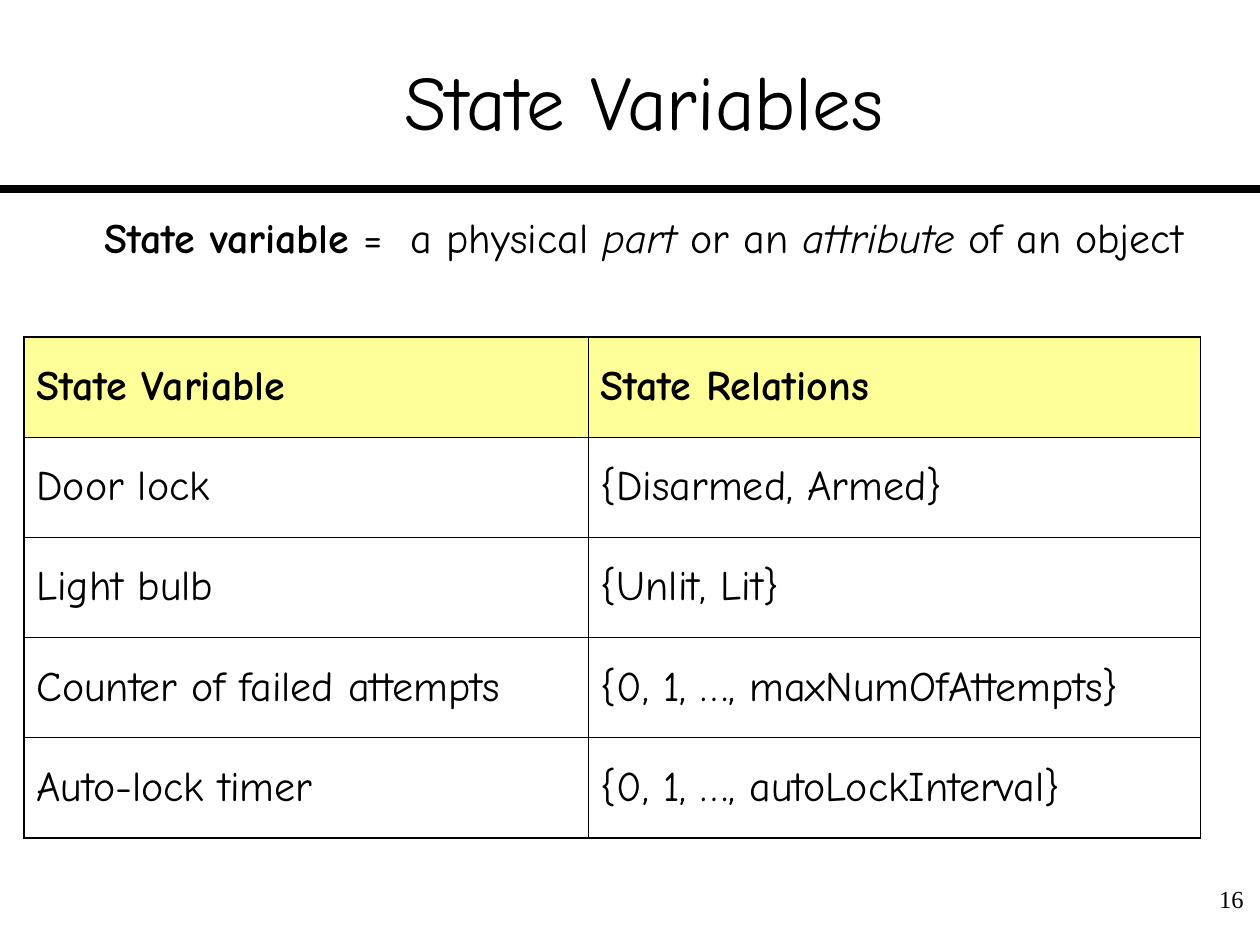
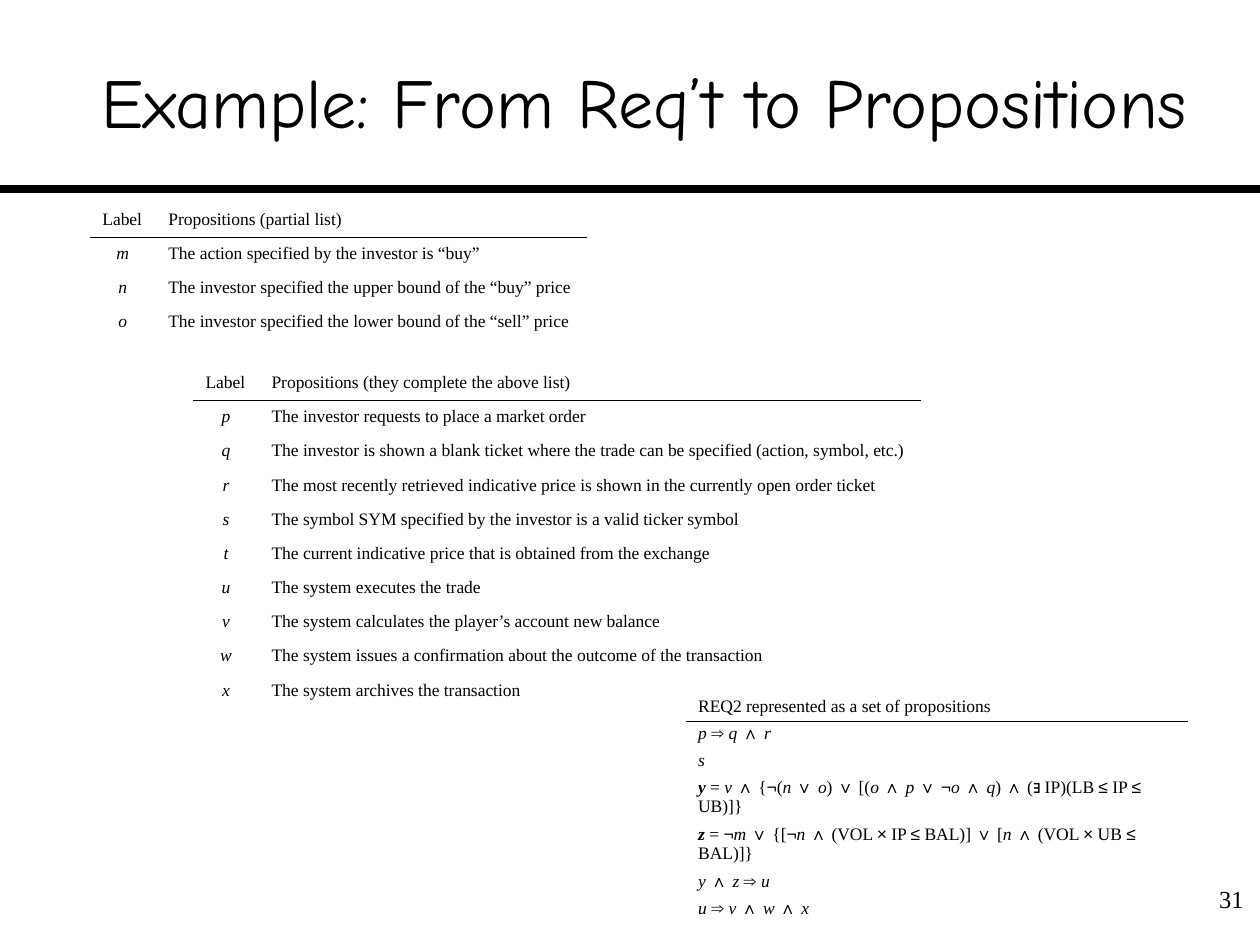
from lxml.etree import SubElement
from pptx import Presentation
from pptx.dml.color import RGBColor
from pptx.enum.text import MSO_ANCHOR, PP_ALIGN
from pptx.oxml.ns import qn
from pptx.util import Cm, Pt

BLACK = RGBColor(0x00, 0x00, 0x00)
HEADER_YELLOW = RGBColor(0xFF, 0xFF, 0x99)
HAND_FONT = "Comic Neue"
SERIF_FONT = "Times New Roman"
SYMBOL_FONT = "Arial"
NO_GRID_STYLE = "{2D5ABB26-0587-4C30-8999-92F81FD0307C}"
THIN, THICK = 0.45, 1.08
LABEL_WIDTH = 1.33

STATES = [
    ("*State Variable*", "*State Relations*"),
    ("Door lock", "{Disarmed, Armed}"),
    ("Light bulb", "{Unlit, Lit}"),
    ("Counter of failed attempts", "{0, 1, …, maxNumOfAttempts}"),
    ("Auto-lock timer", "{0, 1, …, autoLockInterval}"),
]
PARTIAL_LIST = [
    ("Label", "Propositions (partial list)"),
    ("_m_", "The action specified by the investor is “buy”"),
    ("_n_", "The investor specified the upper bound of the “buy” price"),
    ("_o_", "The investor specified the lower bound of the “sell” price"),
]
COMPLETING_LIST = [
    ("Label", "Propositions (they complete the above list)"),
    ("_p_", "The investor requests to place a market order"),
    ("_q_", "The investor is shown a blank ticket where the trade can be "
            "specified (action, symbol, etc.)"),
    ("_r_", "The most recently retrieved indicative price is shown in the "
            "currently open order ticket"),
    ("_s_", "The symbol SYM specified by the investor is a valid ticker symbol"),
    ("_t_", "The current indicative price that is obtained from the exchange"),
    ("_u_", "The system executes the trade"),
    ("_v_", "The system calculates the player’s account new balance"),
    ("_w_", "The system issues a confirmation about the outcome of the transaction"),
    ("_x_", "The system archives the transaction"),
]
REQ2 = [
    ("REQ2 represented as a set of propositions",),
    ("_p _~⇒ ~_q _~∧ ~_r_",),
    ("_s_",),
    ("*_y_* = _v _~∧~ {~¬~(_n _~∨ ~_o_) ~∨~ [(_o _~∧ ~_p _~∨ ¬~_o _~∧ ~_q_) "
     "~∧~ (~∃~ IP)(LB ~≤~ IP ~≤~ UB)]}",),
    ("*_z_* = ~¬~_m _~∨~ {[~¬~_n _~∧~ (VOL ~×~ IP ~≤~ BAL)] ~∨~ [_n _~∧~ "
     "(VOL ~×~ UB ~≤~ BAL)]}",),
    ("_y _~∧ ~_z _~⇒ ~_u_",),
    ("_u _~⇒ ~_v _~∧ ~_w _~∧ ~_x_",),
]


def split_marks(text):
    """Yield (text, active marks); * toggles bold, _ italic and ~ the symbol font."""
    active, chunk = set(), ""
    for char in text:
        if char in "*_~":
            if chunk:
                yield chunk, set(active)
            active ^= {char}
            chunk = ""
        else:
            chunk += char
    if chunk:
        yield chunk, active


def write(p, text, font, size, align=PP_ALIGN.LEFT):
    """Fill a paragraph with the runs of a marked text."""
    p.alignment = align
    for chunk, marks in split_marks(text):
        r = p.add_run()
        r.text = chunk
        r.font.name = SYMBOL_FONT if "~" in marks else font
        r.font.size = Pt(size)
        r.font.bold = "*" in marks
        r.font.italic = "_" in marks
        r.font.color.rgb = BLACK


def add_text(s, box, text, font, size, align=PP_ALIGN.LEFT,
             anchor=MSO_ANCHOR.TOP, margins=(0.25, 0.13), wrap=True):
    """Add a one-paragraph text box; box and margins are in centimetres."""
    tf = s.shapes.add_textbox(*map(Cm, box)).text_frame
    tf.word_wrap = wrap
    tf.vertical_anchor = anchor
    tf.margin_left = tf.margin_right = Cm(margins[0])
    tf.margin_top = tf.margin_bottom = Cm(margins[1])
    write(tf.paragraphs[0], text, font, size, align)


def add_rule(s):
    """Draw the heavy line below the title."""
    rule = s.shapes.add_connector(1, 0, Cm(3.81), Cm(25.4), Cm(3.81))
    rule.line.color.rgb = BLACK
    rule.line.width = Pt(4.5)
    SubElement(rule._element.spPr, qn("a:effectLst"))


def add_slide(prs, title, title_size, number):
    """Add a slide with title, rule and page number."""
    s = prs.slides.add_slide(prs.slide_layouts[6])
    add_rule(s)
    add_text(s, (1.07, 0.43, 23.83, 3.18), title, HAND_FONT, title_size,
             PP_ALIGN.CENTER, MSO_ANCHOR.MIDDLE, (0, 0.13))
    add_text(s, (23.75, 17.7, 1.57, 1.27), str(number), SERIF_FONT, 14,
             PP_ALIGN.RIGHT)
    return s


def set_borders(cell, **widths):
    """Give a cell black borders of L, R, T, B points; sides left out get none."""
    tcPr = cell._tc.get_or_add_tcPr()
    for side in "LRTB":
        ln = SubElement(tcPr, qn(f"a:ln{side}"))
        if side in widths:
            ln.set("w", str(Pt(widths[side])))
            fill = SubElement(ln, qn("a:solidFill"))
            SubElement(fill, qn("a:srgbClr"), val=str(BLACK))
        else:
            SubElement(ln, qn("a:noFill"))


def add_plain_table(s, left, top, widths, row_height, n_rows):
    """Add an unstyled table, sized in centimetres."""
    frame = s.shapes.add_table(n_rows, len(widths), Cm(left), Cm(top),
                               Cm(sum(widths)), Cm(row_height * n_rows))
    table = frame.table
    table.first_row = table.horz_banding = False
    table._tbl.tblPr.find(qn("a:tableStyleId")).text = NO_GRID_STYLE
    for column, width in zip(table.columns, widths):
        column.width = Cm(width)
    for row in table.rows:
        row.height = Cm(row_height)
    return table


def add_grid_table(s, left, top, widths, row_height, rows):
    """Add a fully ruled table with a coloured header row."""
    table = add_plain_table(s, left, top, widths, row_height, len(rows))
    last_row, last_col = len(rows) - 1, len(widths) - 1
    for i, row in enumerate(rows):
        for j, text in enumerate(row):
            cell = table.cell(i, j)
            set_borders(cell, L=THIN if j else THICK,
                        R=THICK if j == last_col else THIN,
                        T=THIN if i else THICK,
                        B=THICK if i == last_row else THIN)
            if i == 0:
                cell.fill.solid()
                cell.fill.fore_color.rgb = HEADER_YELLOW
            else:
                cell.fill.background()
            cell.vertical_anchor = MSO_ANCHOR.MIDDLE
            p = cell.text_frame.paragraphs[0]
            p.space_before = Pt(6)
            write(p, text, HAND_FONT, 24)


def add_list_table(s, left, top, widths, rows, row_height=0.69, margin=0.13):
    """Add a small table ruled only below its header."""
    table = add_plain_table(s, left, top, widths, row_height, len(rows))
    for i, row in enumerate(rows):
        for j, text in enumerate(row):
            cell = table.cell(i, j)
            set_borders(cell, **{0: {"B": THIN}, 1: {"T": THIN}}.get(i, {}))
            cell.fill.background()
            cell.margin_top = cell.margin_bottom = Cm(margin)
            is_label = i > 0 and j == 0 and len(row) > 1
            write(cell.text_frame.paragraphs[0], text, SERIF_FONT, 10,
                  PP_ALIGN.CENTER if is_label else PP_ALIGN.LEFT)


def main():
    """Build both slides and save them."""
    prs = Presentation()
    prs.slide_width, prs.slide_height = Cm(25.4), Cm(19.05)

    s = add_slide(prs, "State Variables", 44, 16)
    add_grid_table(s, 0.48, 6.79, (11.38, 12.34), 2.02, STATES)
    add_text(s, (2.08, 4.27, 21.87, 1.02),
             "*State variable* =  a physical _part_ or an _attribute_ of an object",
             HAND_FONT, 24, margins=(0.03, 0), wrap=False)

    s = add_slide(prs, "Example: From Req’t to Propositions", 40, 31)
    add_list_table(s, 1.81, 4.1, (LABEL_WIDTH, 8.69), PARTIAL_LIST)
    add_list_table(s, 3.89, 7.39, (LABEL_WIDTH, 13.34), COMPLETING_LIST)
    add_list_table(s, 13.82, 14, (10.13,), REQ2, row_height=0.54, margin=0.05)

    prs.save("out.pptx")


if __name__ == "__main__":
    main()
